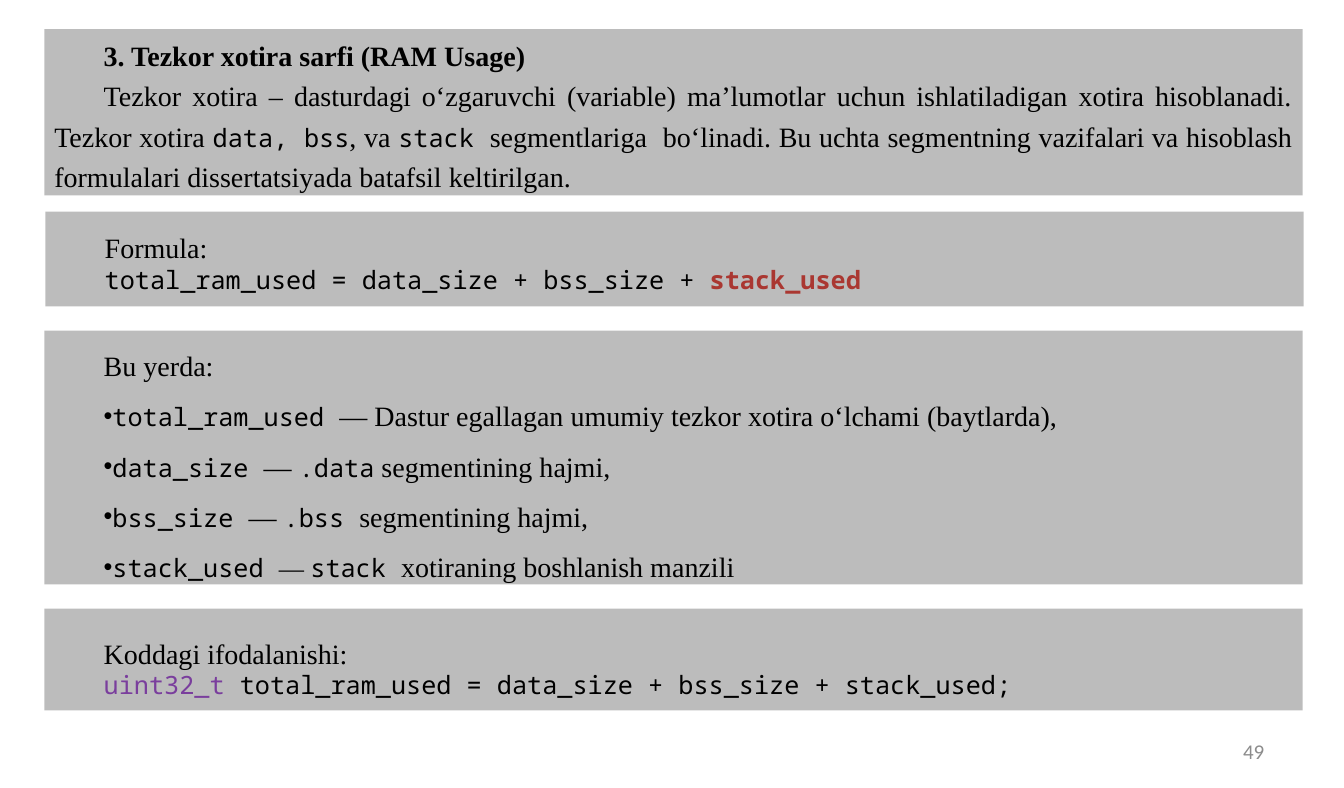
from dataclasses import dataclass

from lxml import etree
from pptx import Presentation
from pptx.dml.color import RGBColor
from pptx.enum.shapes import MSO_SHAPE
from pptx.enum.text import MSO_ANCHOR, PP_ALIGN
from pptx.oxml.ns import qn
from pptx.slide import Slide
from pptx.text.text import TextFrame
from pptx.util import Pt

RECT = MSO_SHAPE.RECTANGLE
MIDDLE = MSO_ANCHOR.MIDDLE
LEFT, RIGHT, FULL = PP_ALIGN.LEFT, PP_ALIGN.RIGHT, PP_ALIGN.JUSTIFY

SCALE = 9144
WIDTH, HEIGHT = 1333, 782
INDENT, TAB = 49, 50
ALPHA = "75000"
COLORS = {
    "panel": "A6A6A6",
    "black": "000000",
    "red": "AA3731",
    "purple": "7A3E9D",
    "gray": "8C8C8C",
}
SERIF = {"name": "Times New Roman", "size": Pt(20), "bold": False}
MONO = {"name": "Noto Sans Mono", "size": Pt(18), "bold": False}
FORMATS = {
    "text": SERIF,
    "title": {**SERIF, "bold": True},
    "small": {**SERIF, "size": Pt(18)},
    "code": MONO,
    "strong": {**MONO, "bold": True},
    "number": {"name": "Calibri", "size": Pt(15)},
}


@dataclass
class Span:
    text: str
    style: str = "text"
    color: str = "black"


@dataclass
class Line:
    spans: list[Span]
    space: float = 1.0
    align: PP_ALIGN = FULL
    indent: int = INDENT
    bullet: bool = False


@dataclass
class Panel:
    left: int
    top: int
    height: int
    lines: list[Line]
    width: int = 1248


def code(text: str, color: str = "black") -> Span:
    return Span(text, "code", color)


def item(*spans: Span) -> Line:
    return Line(list(spans), 1.5, bullet=True)


PANELS = [
    Panel(44, 29, 165, [
        Line([Span("3. Tezkor xotira sarfi (RAM Usage)", "title")], 1.2),
        Line([
            Span("Tezkor xotira – dasturdagi o‘zgaruvchi (variable) ma’lumotlar "
                 "uchun ishlatiladigan xotira hisoblanadi. Tezkor xotira "),
            code("data, bss"),
            Span(", va "),
            code("stack "),
            Span("segmentlariga"),
            code(" "),
            Span("bo‘linadi. Bu uchta segmentning vazifalari va hisoblash "
                 "formulalari dissertatsiyada batafsil keltirilgan."),
        ], 1.2),
    ]),
    Panel(45, 210, 94, [
        Line([Span("Formula:")], 1.2),
        Line([
            code("total_ram_used = data_size + bss_size + "),
            Span("stack_used", "strong", "red"),
        ], align=LEFT),
    ]),
    Panel(44, 328, 252, [
        Line([Span("Bu yerda:")], 1.5),
        item(code("total_ram_used "),
             Span("— Dastur egallagan umumiy tezkor xotira o‘lchami (baytlarda),")),
        item(code("data_size "), Span("— "), code(".data"),
             Span(" segmentining hajmi,")),
        item(code("bss_size "), Span("— "), code(".bss "),
             Span("segmentining hajmi,")),
        item(code("stack_used "), Span("— ", "small"), code("stack "),
             Span("xotiraning boshlanish manzili")),
    ]),
    Panel(44, 604, 101, [
        Line([Span("Koddagi ifodalanishi:")], 1.5),
        Line([
            code("uint32_t ", "purple"),
            code("total_ram_used = data_size + bss_size + stack_used;"),
        ], align=LEFT),
    ]),
]
NUMBER = Line([Span("49", "number", "gray")], align=RIGHT, indent=0)


def px(value: int) -> int:
    return value * SCALE


def write(frame: TextFrame, lines: list[Line]) -> None:
    frame.word_wrap = True
    frame.vertical_anchor = MIDDLE
    for index, line in enumerate(lines):
        para = frame.add_paragraph() if index else frame.paragraphs[0]
        props = para._p.get_or_add_pPr()
        props.set("marL", "0")
        props.set("indent", str(px(line.indent)))
        if line.bullet:
            etree.SubElement(props, qn("a:buFont"), typeface="Arial")
            etree.SubElement(props, qn("a:buChar"), char="•")
            tabs = etree.SubElement(props, qn("a:tabLst"))
            etree.SubElement(tabs, qn("a:tab"), pos=str(px(TAB)), algn="l")
        para.alignment = line.align
        para.line_spacing = line.space
        for span in line.spans:
            run = para.add_run()
            run.text = span.text
            for name, value in FORMATS[span.style].items():
                setattr(run.font, name, value)
            run.font.color.rgb = RGBColor.from_string(COLORS[span.color])


def draw(slide: Slide, panel: Panel) -> None:
    shape = slide.shapes.add_shape(
        RECT, px(panel.left), px(panel.top), px(panel.width), px(panel.height))
    shape.shadow.inherit = False
    shape.line.fill.background()
    shape.fill.solid()
    shape.fill.fore_color.rgb = RGBColor.from_string(COLORS["panel"])
    tint = shape._element.spPr.find(qn("a:solidFill"))[0]
    etree.SubElement(tint, qn("a:alpha"), val=ALPHA)
    write(shape.text_frame, panel.lines)


def main() -> None:
    deck = Presentation()
    deck.slide_width, deck.slide_height = px(WIDTH), px(HEIGHT)
    slide = deck.slides.add_slide(deck.slide_layouts[6])
    for panel in PANELS:
        draw(slide, panel)
    box = slide.shapes.add_textbox(px(955), px(724), px(311), px(42))
    frame = box.text_frame
    insets = {"left": 12, "top": 6, "right": 12, "bottom": 6}
    for side, value in insets.items():
        setattr(frame, f"margin_{side}", px(value))
    write(frame, [NUMBER])
    deck.save("out.pptx")


if __name__ == "__main__":
    main()
